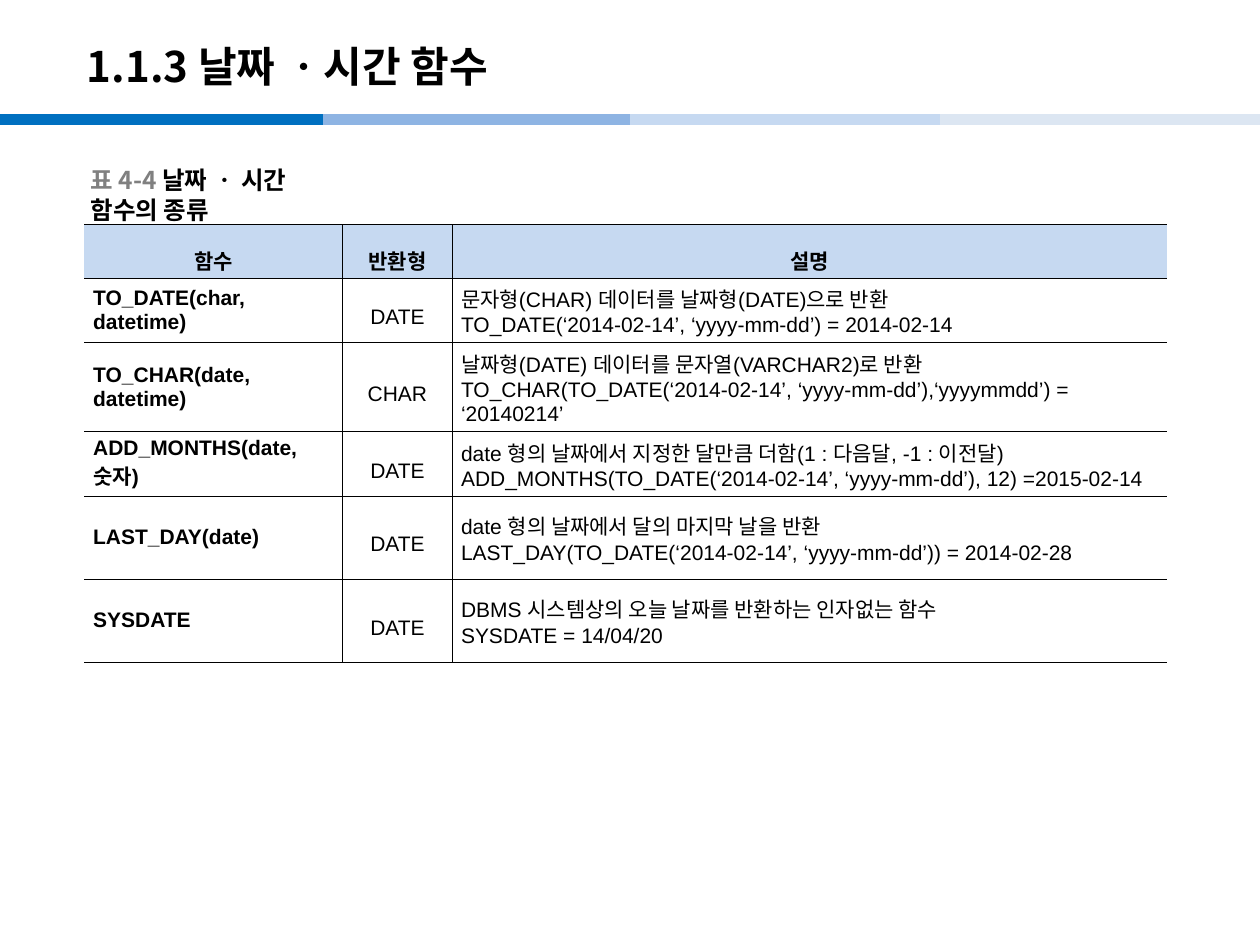
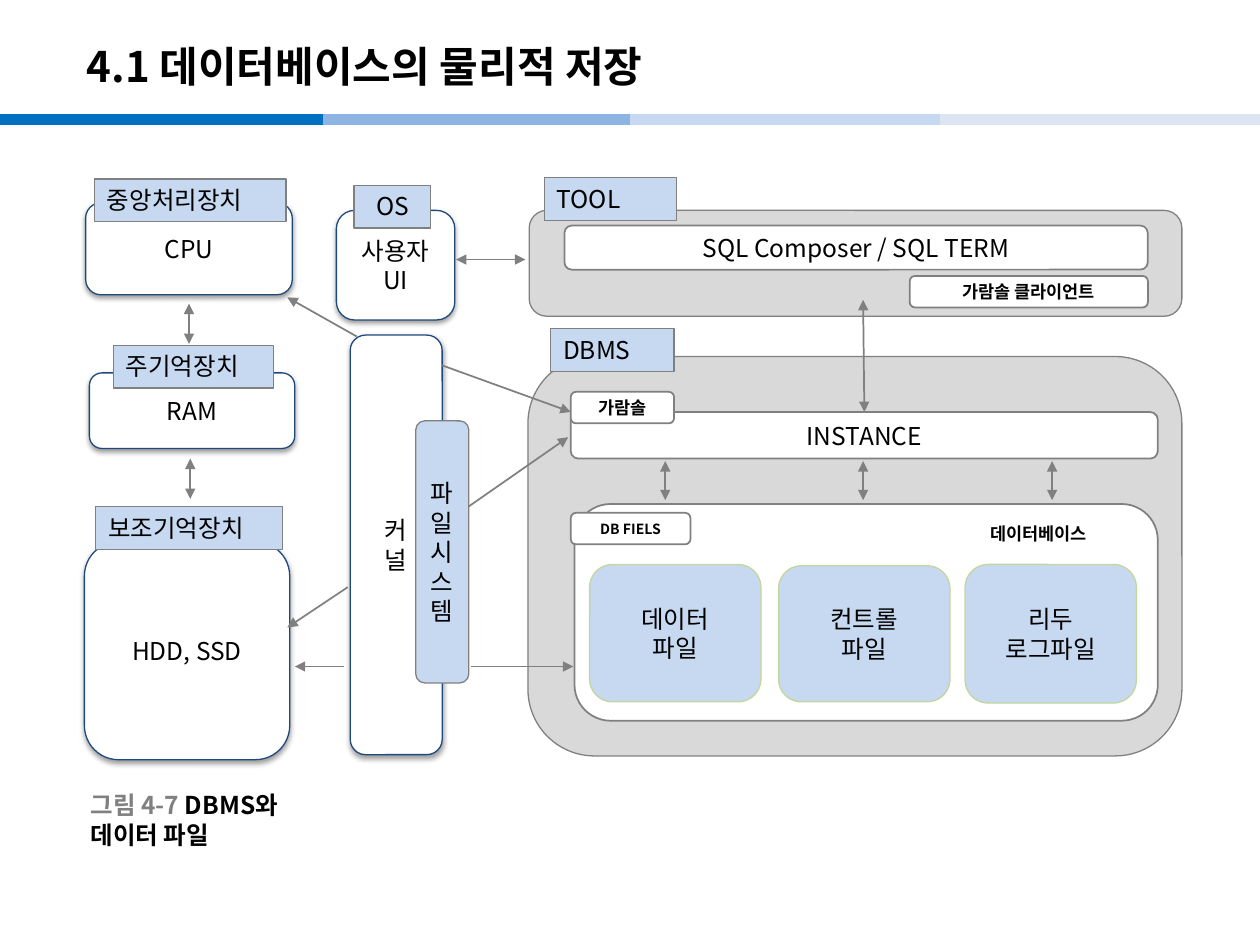
from dataclasses import dataclass

from lxml import etree
from pptx import Presentation
from pptx import util as u
from pptx.dml.color import RGBColor
from pptx.enum import shapes, text
from pptx.oxml import ns

Inches, Pt = u.Inches, u.Pt
SANS, TABLE_FONT = "Noto Sans CJK KR", "Arial"
COLORS = {
    "black": "000000", "white": "FFFFFF", "gray": "808080", "panel": "D9D9D9",
    "navy": "1F497D", "green": "C3D69B", "sky": "C6D9F1",
    "blue": "0070C0", "mid_blue": "8EB4E3", "pale_blue": "DCE6F2",
}
BANDS = [(0, "blue"), (2.56, "mid_blue"), (5, "sky"), (7.46, "pale_blue")]
BAND_TOP, BAND_LENGTH = 0.95, 2.56
LEFT, CENTER = text.PP_ALIGN.LEFT, text.PP_ALIGN.CENTER
TOP, MIDDLE = text.MSO_ANCHOR.TOP, text.MSO_ANCHOR.MIDDLE


@dataclass(frozen=True)
class Style:
    fill: str
    line: str
    width: float = 0.75
    rounded: bool = True
    shadow: bool = False
    size: float = 14
    bold: bool = False
    align: text.PP_ALIGN = CENTER
    grow: bool = False


@dataclass(frozen=True)
class Box:
    style: Style
    left: float
    top: float
    width: float
    height: float
    lines: tuple = ()


@dataclass(frozen=True)
class Arrow:
    start: tuple
    end: tuple
    heads: str = "both"


PANEL = Style("panel", "gray")
DEVICE = Style("white", "navy", shadow=True)
LABEL = Style("sky", "gray", rounded=False, align=LEFT, grow=True)
OS_LABEL = Style("sky", "gray", rounded=False, grow=True)
FRAME = Style("white", "gray", 1)
FILE = Style("sky", "green")
FILE_SYSTEM = Style("sky", "gray")
NOTE = Style("white", "white", 2, rounded=False, size=10, bold=True, align=LEFT, grow=True)
TAG = Style("white", "gray", 1, size=10, bold=True)
SMALL_TAG = Style("white", "gray", 1, size=8, bold=True)

INSTANCE = Box(FRAME, 4.53, 3.27, 4.66, 0.37, ("INSTANCE",))
BOXES = [
    Box(PANEL, 4.19, 2.83, 5.19, 3.17),
    Box(DEVICE, 2.78, 2.66, 0.73, 3.33, ("커", "널")),
    Box(PANEL, 4.2, 1.67, 5.18, 0.84),
    Box(DEVICE, 2.67, 1.67, 0.94, 0.87, ("사용자", "UI")),
    Box(OS_LABEL, 2.81, 1.47, 0.61, 0.34, ("OS",)),
    Box(DEVICE, 0.71, 2.96, 1.63, 0.6, ("RAM",)),
    Box(LABEL, 0.9, 2.74, 1.27, 0.34, ("주기억장치",)),
    Box(FRAME, 4.56, 4, 4.63, 1.72),
    Box(NOTE, 7.76, 4.1, 1.16, 0.27, ("데이터베이스",)),
    Box(FILE, 4.68, 4.48, 1.36, 1.09, ("데이터", "파일")),
    Box(FILE, 6.18, 4.49, 1.36, 1.08, ("컨트롤", "파일")),
    Box(FILE, 7.66, 4.48, 1.36, 1.1, ("리두", "로그파일")),
    INSTANCE,
    Box(DEVICE, 0.68, 1.61, 1.64, 0.73, ("CPU",)),
    Box(DEVICE, 0.67, 4.3, 1.63, 1.73, ("HDD, SSD",)),
    Box(LABEL, 0.76, 4.02, 1.48, 0.34, ("보조기억장치",)),
    Box(LABEL, 0.75, 1.42, 1.52, 0.34, ("중앙처리장치",)),
    Box(FRAME, 4.48, 1.79, 4.63, 0.35, ("SQL Composer / SQL TERM",)),
    Box(LABEL, 4.37, 2.61, 0.98, 0.34, ("DBMS",)),
    Box(LABEL, 4.32, 1.41, 1.05, 0.34, ("TOOL",)),
    Box(FILE_SYSTEM, 3.3, 3.34, 0.42, 2.08, ("파일시스템",)),
]
TAGS = [
    Box(TAG, 7.22, 2.19, 1.89, 0.25, ("가람솔 클라이언트",)),
    Box(SMALL_TAG, 4.53, 4.07, 0.95, 0.25, ("DB FIELS",)),
    Box(TAG, 4.53, 3.11, 0.82, 0.25, ("가람솔",)),
]
TOOL_TO_INSTANCE = Arrow((6.85, 2.38), (6.86, 3.27))
ARROWS = [
    Arrow((3.72, 4.02), (4.51, 3.47), "end"),
    Arrow((2.76, 4.66), (2.28, 4.98), "end"),
    Arrow((3.51, 2.9), (4.53, 3.27), "end"),
    Arrow((2.83, 2.67), (2.28, 2.36), "end"),
    TOOL_TO_INSTANCE,
    *(Arrow((x, 3.66), (x, 3.97)) for x in (5.28, 6.85, 8.35)),
    Arrow((1.5, 2.41), (1.5, 2.73)),
    Arrow((1.51, 3.64), (1.51, 3.96)),
    Arrow((2.73, 5.29), (2.34, 5.29), "end"),
    Arrow((3.74, 5.29), (4.55, 5.29), "end"),
    Arrow((3.62, 2.06), (4.17, 2.06)),
]

COLUMN_WIDTHS = [2.05, 0.87, 5.67]
ROW_HEIGHTS = [0.42, 0.51, 0.71, 0.51, 0.66, 0.66]
FUNCTION_ROWS = [
    (["함수"], ["반환형"], ["설명"]),
    (["TO_DATE(char, datetime)"], ["DATE"],
     ["문자형(CHAR) 데이터를 날짜형(DATE)으로 반환",
      "TO_DATE(‘2014-02-14’, ‘yyyy-mm-dd’) = 2014-02-14"]),
    (["TO_CHAR(date, datetime)"], ["CHAR"],
     ["날짜형(DATE) 데이터를 문자열(VARCHAR2)로 반환",
      "TO_CHAR(TO_DATE(‘2014-02-14’, ‘yyyy-mm-dd’),‘yyyymmdd’) = ‘20140214’"]),
    (["ADD_MONTHS(date, 숫자)"], ["DATE"],
     ["date 형의 날짜에서 지정한 달만큼 더함(1 : 다음달, -1 : 이전달)",
      "ADD_MONTHS(TO_DATE(‘2014-02-14’, ‘yyyy-mm-dd’), 12) =2015-02-14"]),
    (["LAST_DAY(date)"], ["DATE"],
     ["date 형의 날짜에서 달의 마지막 날을 반환",
      "LAST_DAY(TO_DATE(‘2014-02-14’, ‘yyyy-mm-dd’)) = 2014-02-28"]),
    (["SYSDATE"], ["DATE"],
     ["DBMS 시스템상의 오늘 날짜를 반환하는 인자없는 함수",
      "SYSDATE = 14/04/20"]),
]


def rgb(name: str) -> RGBColor:
    return RGBColor.from_string(COLORS[name])


def add_xml(parent, tag: str, **attributes):
    return etree.SubElement(parent, ns.qn(tag), attributes)


def add_span(para, words: str, size: float, bold=False, color="black", font=SANS) -> None:
    span = para.add_run()
    span.text = words
    span.font.size, span.font.bold, span.font.name = Pt(size), bold, font
    span.font.color.rgb = rgb(color)
    add_xml(span.font._element, "a:ea", typeface=SANS)


def add_lines(frame, lines, align, size: float, bold=False, font=SANS, spacing=None) -> None:
    for index, words in enumerate(lines):
        para = frame.add_paragraph() if index else frame.paragraphs[0]
        para.alignment, para.line_spacing = align, spacing
        add_span(para, words, size, bold, font=font)


def add_line(page, start, end, color: str, width: float):
    line = page.shapes.add_connector(
        shapes.MSO_CONNECTOR.STRAIGHT, *(Inches(value) for value in (*start, *end)))
    line.line.color.rgb, line.line.width = rgb(color), Pt(width)
    add_xml(line.element.spPr, "a:effectLst")
    return line


def add_page(deck, heading: str):
    """Add a slide with the shared title style and the four-colour band."""
    page = deck.slides.add_slide(deck.slide_layouts[5])
    for left, color in BANDS:
        add_line(page, (left, BAND_TOP), (left + BAND_LENGTH, BAND_TOP), color, 6)
    title = page.shapes.title
    title.left, title.top = Inches(0.59), Inches(0.22)
    title.width, title.height = Inches(8.27), Inches(0.6)
    frame = title.text_frame
    frame.auto_size, frame.vertical_anchor = text.MSO_AUTO_SIZE.NONE, MIDDLE
    add_lines(frame, [heading], LEFT, 24, bold=True)
    return page


def add_caption(page, top: float, number: str, words: str) -> None:
    box = page.shapes.add_textbox(Inches(0.62), Inches(top), Inches(2.09), Inches(0.31))
    box.text_frame.word_wrap, box.text_frame.vertical_anchor = False, MIDDLE
    para = box.text_frame.paragraphs[0]
    add_span(para, number + " ", 14, True, "gray")
    add_span(para, words, 14, True)


def add_box(page, box: Box):
    style = box.style
    kind = shapes.MSO_SHAPE.ROUNDED_RECTANGLE if style.rounded else shapes.MSO_SHAPE.RECTANGLE
    shape = page.shapes.add_shape(
        kind, Inches(box.left), Inches(box.top), Inches(box.width), Inches(box.height))
    shape.fill.solid()
    shape.fill.fore_color.rgb = rgb(style.fill)
    shape.line.color.rgb, shape.line.width = rgb(style.line), Pt(style.width)
    shape.shadow.inherit = False
    if style.shadow:
        effects = shape.element.spPr.find(ns.qn("a:effectLst"))
        shadow = add_xml(effects, "a:outerShdw", blurRad=str(Pt(3.1)), dist=str(Pt(1.6)),
                         dir="5400000", rotWithShape="0")
        color = add_xml(shadow, "a:srgbClr", val=COLORS["black"])
        add_xml(color, "a:alpha", val="38000")
    frame = shape.text_frame
    frame.word_wrap = True
    frame.vertical_anchor = TOP if style.grow else MIDDLE
    if style.grow:
        frame.auto_size = text.MSO_AUTO_SIZE.SHAPE_TO_FIT_TEXT
    add_lines(frame, box.lines, style.align, style.size, style.bold)
    return shape


def add_arrow(page, arrow: Arrow):
    line = add_line(page, arrow.start, arrow.end, "gray", 1)
    outline = line.element.spPr.find(ns.qn("a:ln"))
    if arrow.heads == "both":
        add_xml(outline, "a:headEnd", type="triangle")
    add_xml(outline, "a:tailEnd", type="triangle")
    return line


def set_borders(cell, column: int) -> None:
    """Rule every side of a cell but the table's outer left and right."""
    last = len(COLUMN_WIDTHS) - 1
    visible = {"L": column > 0, "R": column < last, "T": True, "B": True}
    properties = cell._tc.get_or_add_tcPr()
    for index, (side, shown) in enumerate(visible.items()):
        border = add_xml(properties, f"a:ln{side}", w=str(Pt(0.28)))
        if shown:
            add_xml(add_xml(border, "a:solidFill"), "a:srgbClr", val=COLORS["black"])
        else:
            add_xml(border, "a:noFill")
        properties.insert(index, border)


def add_function_table(page) -> None:
    table = page.shapes.add_table(
        len(ROW_HEIGHTS), len(COLUMN_WIDTHS), Inches(0.67), Inches(1.78),
        Inches(sum(COLUMN_WIDTHS)), Inches(sum(ROW_HEIGHTS))).table
    table.first_row = table.horz_banding = False
    for column, width in zip(table.columns, COLUMN_WIDTHS):
        column.width = Inches(width)
    for row, height in zip(table.rows, ROW_HEIGHTS):
        row.height = Inches(height)
    for r, row in enumerate(FUNCTION_ROWS):
        for c, lines in enumerate(row):
            cell = table.cell(r, c)
            cell.margin_left = cell.margin_right = Inches(0.07)
            cell.margin_top = cell.margin_bottom = Inches(0.02)
            cell.vertical_anchor = MIDDLE
            if r == 0:
                cell.fill.solid()
                cell.fill.fore_color.rgb = rgb("sky")
            else:
                cell.fill.background()
            set_borders(cell, c)
            centered = r == 0 or c == 1
            add_lines(cell.text_frame, lines, CENTER if centered else LEFT, 12,
                      bold=r == 0 or c == 0, font=TABLE_FONT,
                      spacing=1.6 if centered else None)


def add_storage_diagram(page) -> None:
    drawn = {box: add_box(page, box) for box in BOXES}
    for arrow in ARROWS:
        line = add_arrow(page, arrow)
        if arrow is TOOL_TO_INSTANCE:
            line.end_connect(drawn[INSTANCE], 0)
    add_caption(page, 6.35, "그림 4-7", "DBMS와 데이터 파일")
    for tag in TAGS:
        add_box(page, tag)


def main() -> None:
    deck = Presentation()
    deck.slide_width, deck.slide_height = Inches(10), Inches(7.5)

    functions_page = add_page(deck, "1.1.3 날짜 ㆍ시간 함수")
    add_function_table(functions_page)
    add_caption(functions_page, 1.39, "표 4-4", "날짜 ㆍ 시간 함수의 종류")

    add_storage_diagram(add_page(deck, "4.1 데이터베이스의 물리적 저장"))
    deck.save("out.pptx")


if __name__ == "__main__":
    main()
